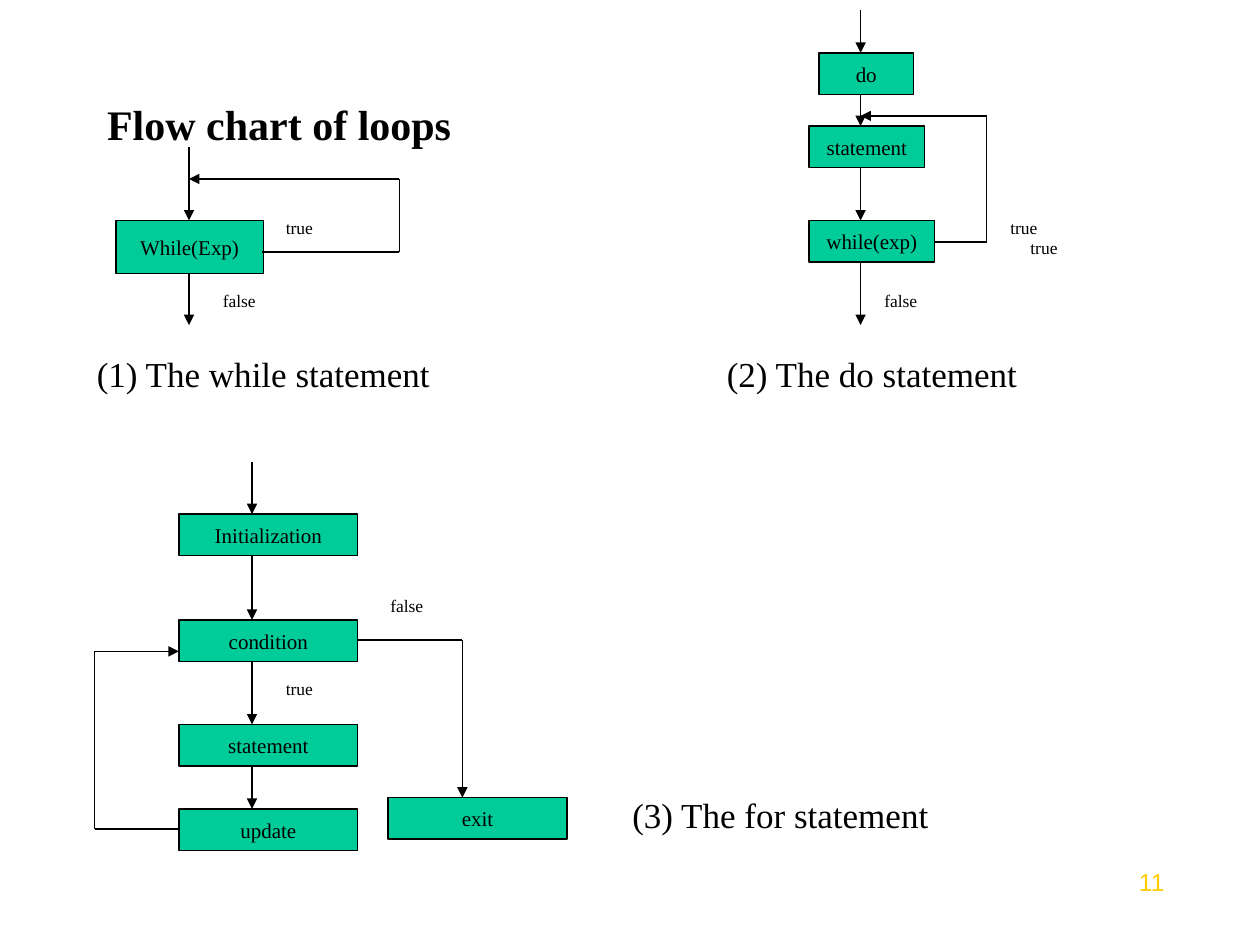
import itertools

import pptx
import pptx.dml.color
import pptx.enum.shapes
import pptx.enum.text
import pptx.oxml
import pptx.oxml.ns
import pptx.util
from pptx.util import Inches

COLORS = {"ink": "000000", "step": "00CC99", "number": "FFCC00"}
SERIF = "Times New Roman"
STEP_HEIGHT = 0.33
LINE_WIDTH = 0.75


def rgb(name):
    return pptx.dml.color.RGBColor.from_string(COLORS[name])


def write(frame, text, size, font=SERIF, color="ink", align="LEFT", bold=False):
    frame.text = text
    paragraph = frame.paragraphs[0]
    paragraph.alignment = getattr(pptx.enum.text.PP_ALIGN, align)
    paragraph.font.name = font
    paragraph.font.size = pptx.util.Pt(size)
    paragraph.font.bold = bold
    paragraph.font.color.rgb = rgb(color)
    return paragraph


def set_title(page, text):
    title = page.shapes.title
    title.left, title.top = Inches(0.75), Inches(0.67)
    title.width, title.height = Inches(8.5), Inches(0.62)
    title.text_frame.vertical_anchor = pptx.enum.text.MSO_ANCHOR.MIDDLE
    write(title.text_frame, text, 24, bold=True)


def add_text(page, text, left, top, width, height, size, before=0, **style):
    box = page.shapes.add_textbox(
        Inches(left), Inches(top), Inches(width), Inches(height))
    box.text_frame.word_wrap = True
    paragraph = write(box.text_frame, text, size, **style)
    if before:
        box.text_frame.auto_size = pptx.enum.text.MSO_AUTO_SIZE.SHAPE_TO_FIT_TEXT
        paragraph.space_before = pptx.util.Pt(before)


def add_label(page, text, left, top):
    add_text(page, text, left, top, 0.83, 0.27, 10, before=6.2)


def add_caption(page, text, left, top, width):
    add_text(page, text, left, top, width, 0.44, 20, before=12.5)


def add_step(page, text, left, top, width, height=STEP_HEIGHT):
    box = page.shapes.add_shape(
        pptx.enum.shapes.MSO_SHAPE.RECTANGLE,
        Inches(left), Inches(top), Inches(width), Inches(height))
    box.shadow.inherit = False
    box.fill.solid()
    box.fill.fore_color.rgb = rgb("step")
    box.line.color.rgb = rgb("ink")
    box.line.width = pptx.util.Pt(LINE_WIDTH)
    box.text_frame.word_wrap = False
    box.text_frame.vertical_anchor = pptx.enum.text.MSO_ANCHOR.MIDDLE
    write(box.text_frame, text, 12, align="CENTER")


def add_line(page, start, end):
    line = page.shapes.add_connector(
        pptx.enum.shapes.MSO_CONNECTOR.STRAIGHT,
        *(Inches(value) for value in start + end))
    line.line.color.rgb = rgb("ink")
    line.line.width = pptx.util.Pt(LINE_WIDTH)
    properties = line.element.spPr
    properties.append(pptx.oxml.parse_xml(
        f'<a:effectLst {pptx.oxml.ns.nsdecls("a")}/>'))
    return line


def add_route(page, *points):
    for start, end in itertools.pairwise(points):
        line = add_line(page, start, end)
    line.line._get_or_add_ln().append(pptx.oxml.parse_xml(
        f'<a:tailEnd {pptx.oxml.ns.nsdecls("a")} type="triangle"/>'))


def add_drops(page, x, spans):
    for top, bottom in spans:
        add_route(page, (x, top), (x, bottom))


def draw_while(page):
    axis = 1.5
    add_step(page, "While(Exp)", 0.92, 1.75, 1.17, 0.42)
    add_drops(page, axis, [(1.17, 1.75), (2.17, 2.58)])
    add_route(page, (2.08, 2), (3.17, 2), (3.17, 1.42), (axis, 1.42))
    add_label(page, "true", 2.17, 1.67)
    add_label(page, "false", 1.67, 2.25)
    add_caption(page, "(1) The while statement", 0.67, 2.75, 3)


def draw_do(page):
    axis = 6.83
    add_step(page, "do", 6.5, 0.42, 0.75)
    add_step(page, "statement", 6.42, 1, 0.92)
    add_step(page, "while(exp)", 6.42, 1.75, 1)
    add_drops(page, axis, [(0.08, 0.42), (0.75, 1), (1.33, 1.75), (2.08, 2.58)])
    add_route(page, (7.42, 1.92), (7.83, 1.92), (7.83, 0.92), (axis, 0.92))
    add_label(page, "true", 7.92, 1.67)
    add_label(page, "true", 8.08, 1.83)
    add_label(page, "false", 6.92, 2.25)
    add_caption(page, "(2) The do statement", 5.67, 2.75, 3.67)


def draw_for(page):
    left, width, axis = 1.42, 1.42, 2
    steps = {"Initialization": 4.08, "condition": 4.92,
             "statement": 5.75, "update": 6.42}
    for text, top in steps.items():
        add_step(page, text, left, top, width)
    add_step(page, "exit", 3.08, 6.33, width)
    tops = list(steps.values())
    bottoms = [3.67] + [top + STEP_HEIGHT for top in tops]
    add_drops(page, axis, zip(bottoms, tops))
    add_route(page, (left, 6.58), (0.75, 6.58), (0.75, 5.17), (left, 5.17))
    add_route(page, (left + width, 5.08), (3.67, 5.08), (3.67, 6.33))
    add_label(page, "false", 3, 4.67)
    add_label(page, "true", 2.17, 5.33)
    add_caption(page, "(3) The for statement", 4.92, 6.25, 3.67)


def main():
    deck = pptx.Presentation()
    deck.slide_width, deck.slide_height = Inches(10), Inches(7.5)
    page = deck.slides.add_slide(deck.slide_layouts.get_by_name("Title Only"))
    set_title(page, "Flow chart of loops")
    draw_while(page)
    draw_do(page)
    draw_for(page)
    add_text(page, "11", 8.67, 6.83, 0.67, 0.52, 14,
             font="Arial", color="number", align="RIGHT")
    deck.save("out.pptx")


if __name__ == "__main__":
    main()
